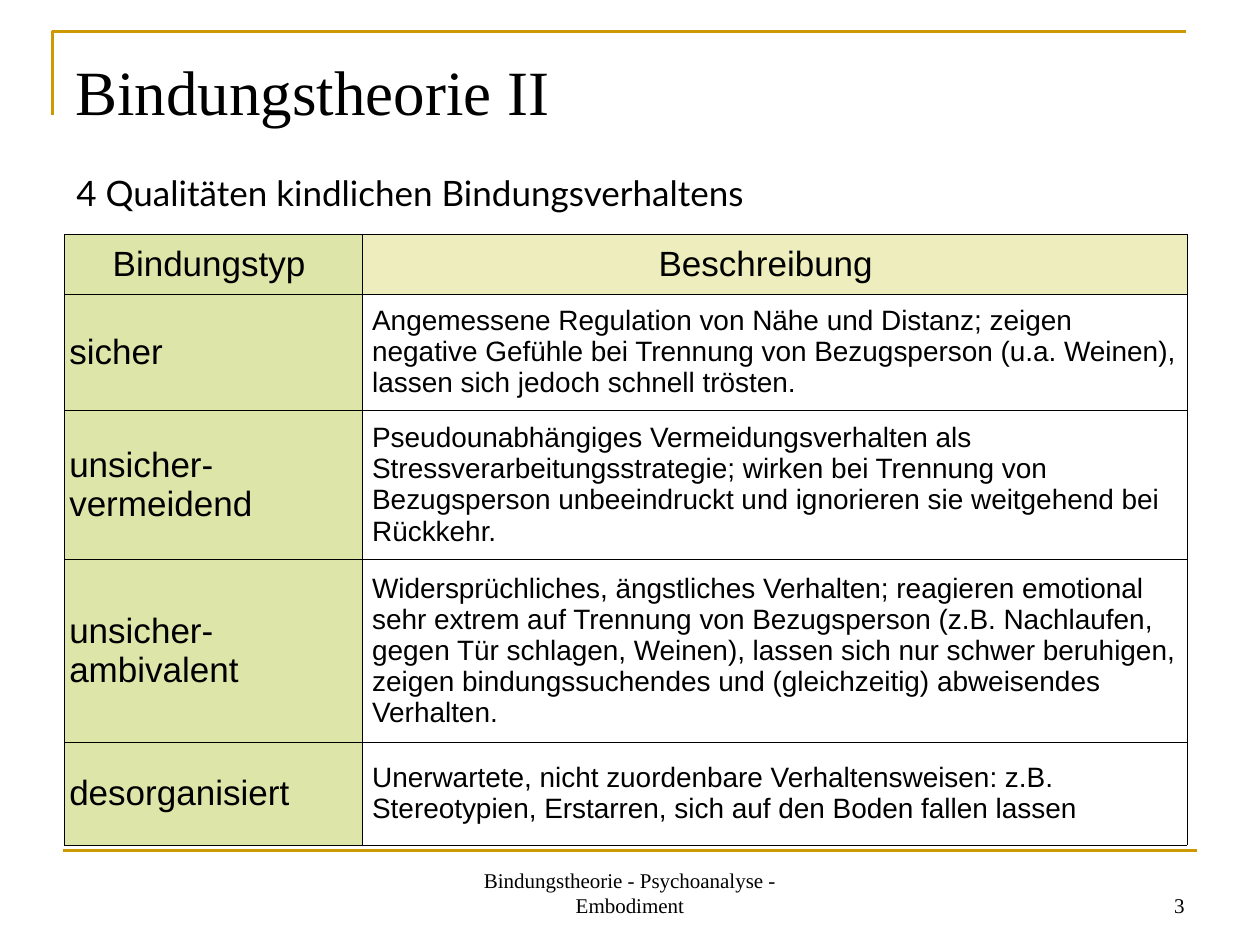
from lxml.etree import SubElement
from pptx import Presentation
from pptx.dml.color import RGBColor
from pptx.enum.shapes import MSO_CONNECTOR
from pptx.enum.text import MSO_ANCHOR, PP_ALIGN
from pptx.oxml.ns import qn
from pptx.util import Inches, Pt

THEME = {
    "ink": RGBColor.from_string("000000"),
    "gold": RGBColor.from_string("CC9900"),
    "type_fill": RGBColor.from_string("DEE5A9"),
    "header_fill": RGBColor.from_string("EDEDBD"),
    "rule": Pt(1.5),
    "border": Pt(0.11),
    "title": ("Times New Roman", Pt(36)),
    "lead": ("Lato", Pt(20)),
    "type": ("Arial", Pt(20)),
    "description": ("Arial", Pt(16)),
    "footer": ("Times New Roman", Pt(12)),
}

# Grid of 120 columns by 90 rows with square units
UNIT = Inches(10) / 120


def grid(*units):
    return [round(unit * UNIT) for unit in units]


def write(frame, text, style, align=PP_ALIGN.LEFT, anchor=MSO_ANCHOR.TOP):
    frame.word_wrap = True
    frame.vertical_anchor = anchor
    paragraph = frame.paragraphs[0]
    paragraph.text = text
    paragraph.alignment = align
    paragraph.font.name, paragraph.font.size = THEME[style]
    paragraph.font.color.rgb = THEME["ink"]
    return paragraph


presentation = Presentation()
presentation.slide_width, presentation.slide_height = grid(120, 90)
slide = presentation.slides.add_slide(presentation.slide_layouts[6])
shapes = slide.shapes

# Gold corner around the title
outline = shapes.build_freeform(*grid(5, 11))
outline.add_line_segments([grid(5, 3), grid(113, 3)], close=False)
corner = outline.convert_to_shape()
corner.shadow.inherit = False
corner.fill.background()

# Gold rule above the footer
footer_rule = shapes.add_connector(MSO_CONNECTOR.STRAIGHT, *grid(6, 81, 114, 81))
SubElement(footer_rule._element.spPr, qn("a:effectLst"))
for gold_line in (corner.line, footer_rule.line):
    gold_line.color.rgb = THEME["gold"]
    gold_line.width = THEME["rule"]

# Title, lead line, footer and page number
LEFT, CENTER, RIGHT = PP_ALIGN.LEFT, PP_ALIGN.CENTER, PP_ALIGN.RIGHT
TOP, MIDDLE, BOTTOM = MSO_ANCHOR.TOP, MSO_ANCHOR.MIDDLE, MSO_ANCHOR.BOTTOM
for text, place, style, align, anchor in [
    ("Bindungstheorie II", (6, 4.4, 108, 14), "title", LEFT, TOP),
    ("4 Qualitäten kindlichen Bindungsverhaltens", (6.1, 15.7, 108, 6), "lead", LEFT, TOP),
    ("Bindungstheorie - Psychoanalyse - Embodiment", (41, 82, 38, 6), "footer", CENTER, BOTTOM),
    ("3", (86, 82, 28, 6), "footer", RIGHT, BOTTOM),
]:
    write(shapes.add_textbox(*grid(*place)).text_frame, text, style, align, anchor)

# Table of attachment types
ATTACHMENT_TYPES = [
    ("Bindungstyp", "Beschreibung "),
    ("sicher",
     "Angemessene Regulation von Nähe und Distanz; zeigen negative Gefühle bei "
     "Trennung von Bezugsperson (u.a. Weinen), lassen sich jedoch schnell trösten."),
    ("unsicher-vermeidend",
     "Pseudounabhängiges Vermeidungsverhalten als Stressverarbeitungsstrategie; "
     "wirken bei Trennung von Bezugsperson unbeeindruckt und ignorieren sie "
     "weitgehend bei Rückkehr."),
    ("unsicher- ambivalent",
     "Widersprüchliches, ängstliches Verhalten; reagieren emotional sehr extrem auf "
     "Trennung von Bezugsperson (z.B. Nachlaufen, gegen Tür schlagen, Weinen), lassen "
     "sich nur schwer beruhigen, zeigen bindungssuchendes und (gleichzeitig) "
     "abweisendes Verhalten."),
    ("desorganisiert",
     "Unerwartete, nicht zuordenbare Verhaltensweisen: z.B. Stereotypien, Erstarren, "
     "sich auf den Boden fallen lassen"),
]
COLUMN_WIDTHS = grid(28.35, 78.6)
ROW_HEIGHTS = grid(5.7, 11.05, 14.25, 17.4, 9.75)

types_table = shapes.add_table(
    len(ROW_HEIGHTS), len(COLUMN_WIDTHS), *grid(6.1, 22.3),
    sum(COLUMN_WIDTHS), sum(ROW_HEIGHTS)).table
types_table.first_row = types_table.horz_banding = False
for column, width in zip(types_table.columns, COLUMN_WIDTHS):
    column.width = width
for row, height in zip(types_table.rows, ROW_HEIGHTS):
    row.height = height

for row_index, entries in enumerate(ATTACHMENT_TYPES):
    for column_index, text in enumerate(entries):
        cell = types_table.cell(row_index, column_index)
        is_header = row_index == 0
        is_description = column_index == 1 and not is_header
        paragraph = write(cell.text_frame, text,
                          "description" if is_description else "type",
                          CENTER if is_header else LEFT)
        paragraph.space_before = Pt(4 if is_description else 5)
        cell.vertical_anchor = MIDDLE
        cell.margin_left, cell.margin_right = grid(*((1, 0.9) if is_description else (0.5, 1.2)))
        cell.margin_top, cell.margin_bottom = grid(0.6, 0.6)

        # Thin border on all four sides
        properties = cell._tc.get_or_add_tcPr()
        for side in ("a:lnL", "a:lnR", "a:lnT", "a:lnB"):
            border = SubElement(properties, qn(side), w=str(THEME["border"]))
            ink = SubElement(border, qn("a:solidFill"))
            SubElement(ink, qn("a:srgbClr"), val=str(THEME["ink"]))

        if is_description:
            cell.fill.background()
        else:
            cell.fill.solid()
            cell.fill.fore_color.rgb = THEME["header_fill" if column_index else "type_fill"]

presentation.save("out.pptx")
